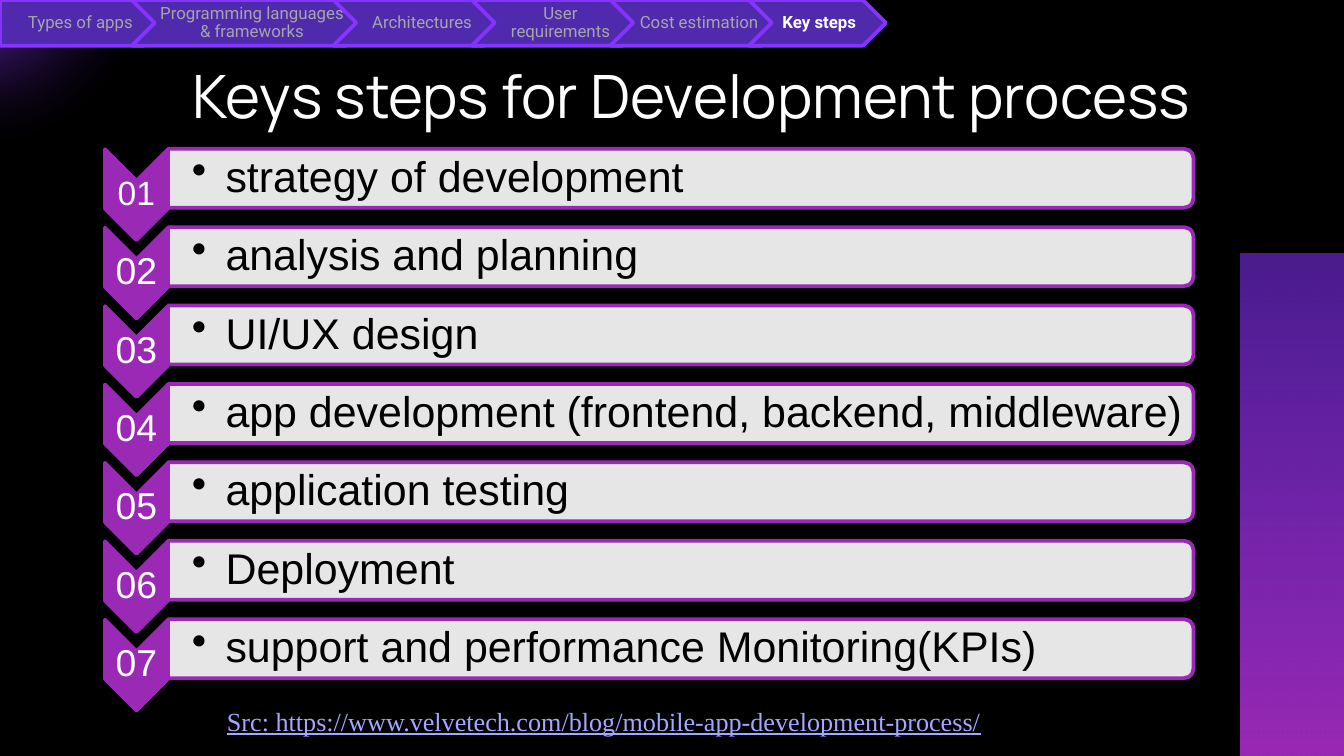
from lxml import etree
from pptx import Presentation
from pptx.dml.color import RGBColor
from pptx.enum.shapes import MSO_SHAPE
from pptx.enum.text import MSO_ANCHOR, PP_ALIGN
from pptx.oxml import parse_xml
from pptx.oxml.ns import nsdecls, qn
from pptx.util import Pt

RECT, ELLIPSE = MSO_SHAPE.RECTANGLE, MSO_SHAPE.OVAL
CHEVRON, PENTAGON = MSO_SHAPE.CHEVRON, MSO_SHAPE.PENTAGON
ROUND_TOP = MSO_SHAPE.ROUND_2_SAME_RECTANGLE
LEFT, CENTER, JUSTIFY = PP_ALIGN.LEFT, PP_ALIGN.CENTER, PP_ALIGN.JUSTIFY
TOP, MIDDLE = MSO_ANCHOR.TOP, MSO_ANCHOR.MIDDLE

BLACK = RGBColor(0x00, 0x00, 0x00)
WHITE = RGBColor(0xFF, 0xFF, 0xFF)
GREY = RGBColor(0xA6, 0xA6, 0xA6)
MAGENTA = RGBColor(0x9A, 0x29, 0xB5)
VIOLET = RGBColor(0x87, 0x33, 0xFF)
INDIGO = RGBColor(0x4F, 0x2A, 0xAD)
LAVENDER = RGBColor(0xA3, 0xA7, 0xFF)

NAV = [("Types of apps", 89.3), ("Programming languages & frameworks", 126.7),
       ("Architectures", 92.9), ("User requirements", 92.9),
       ("Cost estimation", 92.9), ("Key steps", 73.4)]
NAV_OVERLAP = 18.7
STEPS = ["strategy of development", "analysis and planning", "UI/UX design",
         "app development (frontend, backend, middleware)", "application testing",
         "Deployment", "support and performance Monitoring(KPIs)"]
STEP_PITCH = 42

LINEAR = '<a:lin ang="5400000" scaled="0"/>'
RADIAL = ('<a:path path="circle"><a:fillToRect l="50000" t="50000" '
          'r="50000" b="50000"/></a:path>')


class Deck:
    """Holds the presentation, its current slide and the shared style."""

    def __init__(self):
        self.prs = Presentation()
        self.prs.slide_width, self.prs.slide_height = Pt(720), Pt(405)
        self.slide = self.prs.slides.add_slide(self.prs.slide_layouts[6])
        fill = self.slide.background.fill
        fill.solid()
        fill.fore_color.rgb = BLACK

    def shape(self, kind, x, y, w, h, fill=None, line=None, rotation=0, alpha=None):
        sp = self.slide.shapes.add_shape(kind, Pt(x), Pt(y), Pt(w), Pt(h))
        sp.shadow.inherit = False
        sp.rotation = rotation
        if fill is None:
            sp.fill.background()
        else:
            sp.fill.solid()
            sp.fill.fore_color.rgb = fill
        if alpha is not None:
            color = sp._element.spPr.find(qn("a:solidFill"))[0]
            etree.SubElement(color, qn("a:alpha")).set("val", str(alpha * 1000))
        if line is None:
            sp.line.fill.background()
        else:
            sp.line.color.rgb = line
            sp.line.width = Pt(2)
        return sp

    def gradient_shape(self, kind, x, y, w, h, stops, direction):
        """Stops are (position %, colour, opacity %)."""
        sp = self.shape(kind, x, y, w, h)
        gs = "".join(f'<a:gs pos="{pos * 1000}"><a:srgbClr val="{color}">'
                     f'<a:alpha val="{alpha * 1000}"/></a:srgbClr></a:gs>'
                     for pos, color, alpha in stops)
        grad = parse_xml(f'<a:gradFill {nsdecls("a")} rotWithShape="1">'
                         f'<a:gsLst>{gs}</a:gsLst>{direction}</a:gradFill>')
        props = sp._element.spPr
        props.replace(props.find(qn("a:noFill")), grad)

    def label(self, sp, text, font, size, color, align=CENTER, anchor=MIDDLE,
              insets=(0, 0, 0, 0), spacing=0.9, bold=False, underline=False,
              bullet=False):
        tf = sp.text_frame
        tf.word_wrap = True
        tf.vertical_anchor = anchor
        tf.margin_left, tf.margin_top, tf.margin_right, tf.margin_bottom = map(Pt, insets)
        p = tf.paragraphs[0]
        p.text = text
        p.alignment = align
        p.line_spacing = spacing
        if bullet:
            props = p._p.get_or_add_pPr()
            props.set("marL", str(Pt(18)))
            props.set("indent", str(-Pt(18)))
            etree.SubElement(props, qn("a:buChar")).set("char", "•")
        f = p.font
        f.name, f.size, f.bold = font, Pt(size), bold
        f.underline = underline
        f.color.rgb = color

    def text(self, x, y, w, h, *args, **style):
        box = self.slide.shapes.add_textbox(Pt(x), Pt(y), Pt(w), Pt(h))
        self.label(box, *args, **style)

    def upright(self, kind, x, y, w, h, **style):
        """Shape turned a quarter clockwise that covers the given upright box."""
        self.shape(kind, x + (w - h) / 2, y + (h - w) / 2, h, w, rotation=90, **style)

    def step(self, i, caption):
        y = 80 + i * STEP_PITCH
        self.upright(CHEVRON, 56.2, y, 33.8, 48.6, fill=MAGENTA, line=MAGENTA)
        self.text(56.2, y + 16.7, 33.8, 14.6, f"{i + 1:02}", "Arial",
                  20 if i else 18, WHITE, insets=(0.8, 0.8, 0.8, 0.8))
        self.upright(ROUND_TOP, 90, y - 0.3, 549.4, 31.6,
                     fill=WHITE, line=MAGENTA, alpha=90)
        self.text(90, y + 1.2, 547.9, 28.6, caption, "Arial", 23, BLACK,
                  align=LEFT, insets=(12.8, 1.2, 1.2, 1.2), bullet=True)

    def nav(self, items, current):
        x = 0
        for caption, width in items:
            sp = self.shape(CHEVRON if x else PENTAGON, x, 0, width, 24.5,
                            fill=INDIGO, line=VIOLET)
            active = caption == current
            self.label(sp, caption, "Roboto", 9, WHITE if active else GREY,
                       insets=(2.9 if x else 3.8, 1.9, 0.9, 1.9), bold=active)
            x += width - NAV_OVERLAP


def main():
    deck = Deck()
    deck.gradient_shape(RECT, 664.5, 136, 85.7, 270,
                        [(0, VIOLET, 55), (100, MAGENTA, 100)], LINEAR)
    deck.gradient_shape(ELLIPSE, -120.2, -121.7, 213.8, 213.8,
                        [(0, VIOLET, 100), (67, BLACK, 0), (100, BLACK, 0)], RADIAL)
    deck.text(56.2, 24.5, 628.6, 45.4, "Keys steps for Development process",
              "Manrope", 32, WHITE, anchor=TOP, insets=(7.2, 7.2, 7.2, 7.2), spacing=1.0)
    for i, caption in enumerate(STEPS):
        deck.step(i, caption)
    deck.text(114.5, 365.8, 435.6, 32.4,
              "Src: https://www.velvetech.com/blog/mobile-app-development-process/",
              "Times New Roman", 14, LAVENDER, align=JUSTIFY, anchor=TOP,
              insets=(7.2, 3.6, 7.2, 3.6), spacing=1.5, underline=True)
    deck.nav(NAV, "Key steps")
    deck.prs.save("out.pptx")


if __name__ == "__main__":
    main()
